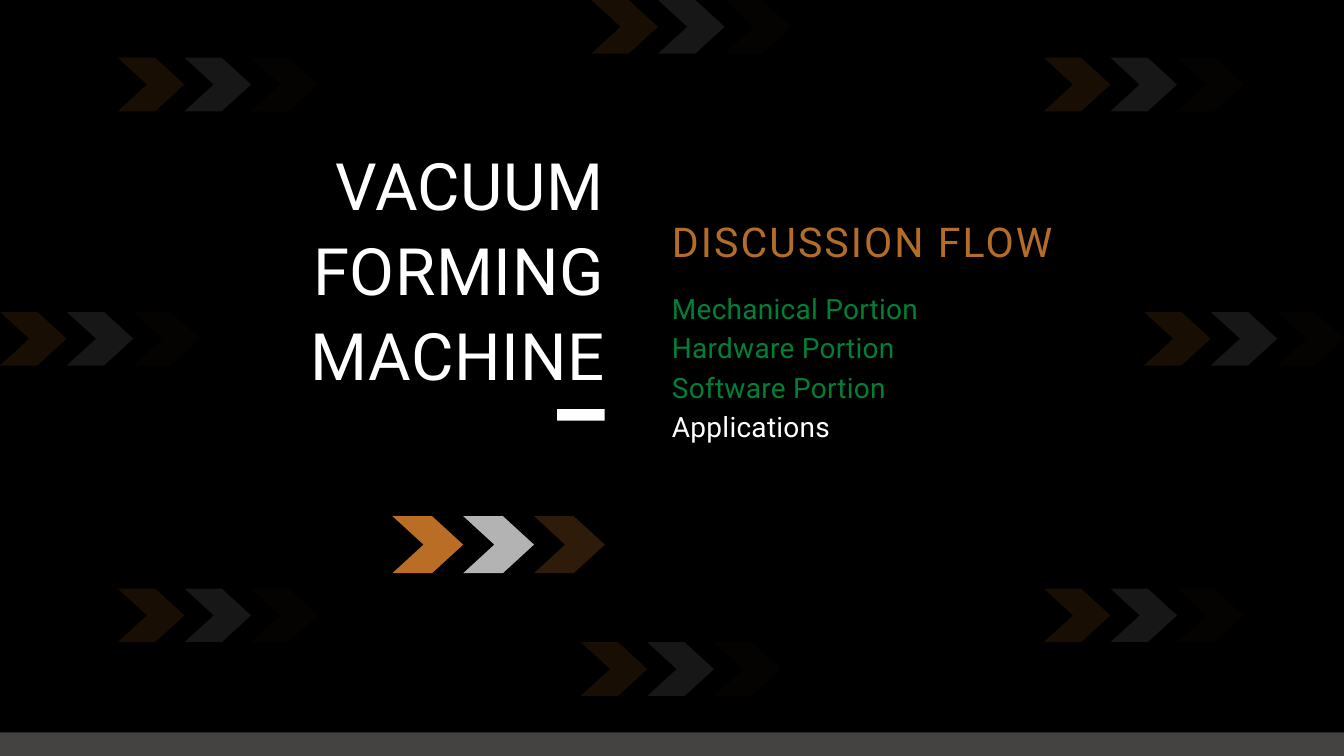
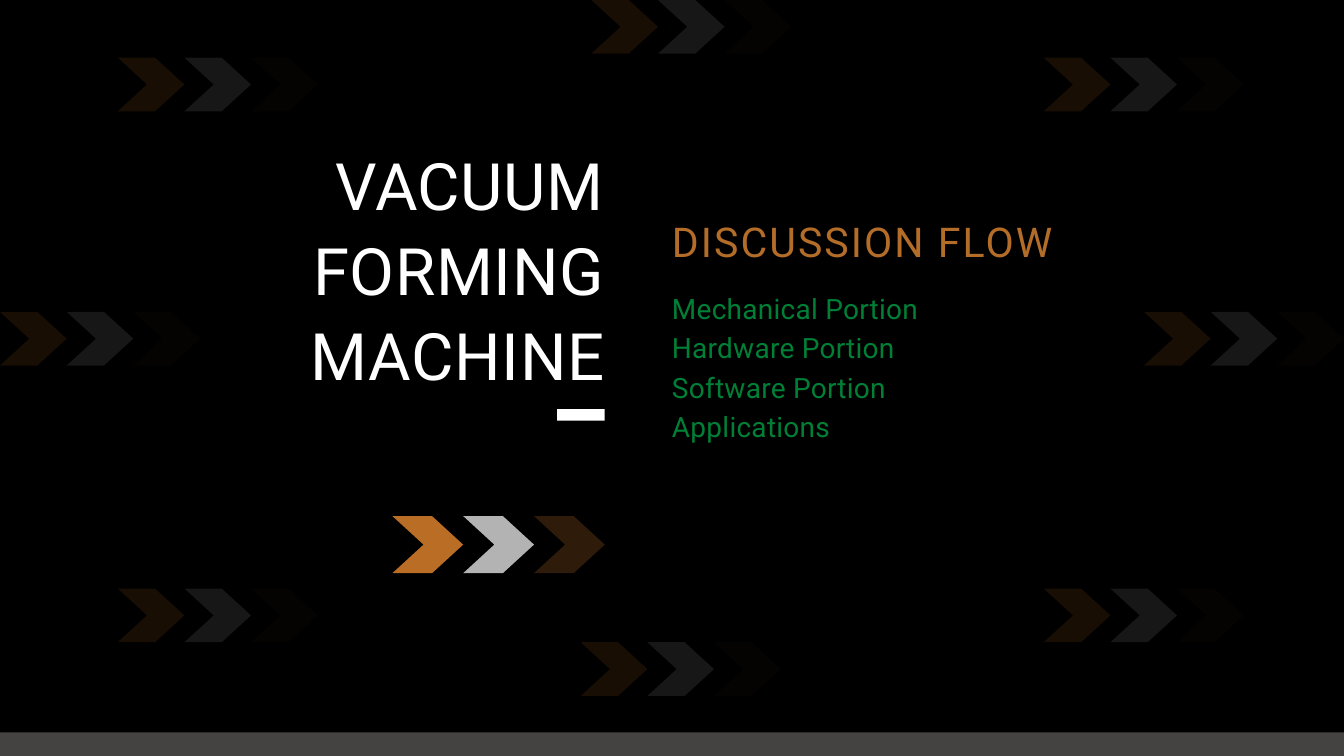
from dataclasses import dataclass

from lxml import etree
from pptx import Presentation
from pptx.dml.color import RGBColor
from pptx.enum.shapes import MSO_SHAPE
from pptx.enum.text import MSO_AUTO_SIZE, PP_ALIGN
from pptx.oxml.ns import qn
from pptx.presentation import Presentation as Deck
from pptx.shapes.autoshape import Shape
from pptx.shapes.shapetree import GroupShapes, SlideShapes
from pptx.util import Cm, Pt

RECTANGLE = MSO_SHAPE.RECTANGLE
GROW = MSO_AUTO_SIZE.SHAPE_TO_FIT_TEXT
LEFT = PP_ALIGN.LEFT
RIGHT = PP_ALIGN.RIGHT

BLACK = RGBColor(0x00, 0x00, 0x00)
WHITE = RGBColor(0xFF, 0xFF, 0xFF)
ORANGE = RGBColor(0xBA, 0x6D, 0x25)
HEADING_ORANGE = RGBColor(0xB3, 0x6D, 0x29)
GREEN = RGBColor(0x00, 0x80, 0x37)
FOOTER_GREY = RGBColor(0x44, 0x43, 0x42)

FONT = "Roboto"
FRAME_FORMAT = {
    "margin_left": 0,
    "margin_top": 0,
    "margin_right": 0,
    "margin_bottom": 0,
    "word_wrap": True,
    "auto_size": GROW,
}
CHEVRON_COLORS = (ORANGE, WHITE, ORANGE)
CHEVRON_SHOULDER = 0.56
CHEVRON_NOTCH = 0.44


@dataclass(frozen=True)
class Box:
    left: float
    top: float
    width: float
    height: float


@dataclass(frozen=True)
class TextStyle:
    size: float
    leading: float
    tracking: float
    align: PP_ALIGN = LEFT


@dataclass(frozen=True)
class Line:
    text: str
    color: RGBColor


@dataclass(frozen=True)
class ChevronTrio:
    area: Box
    opacities: tuple[int, int, int]


def faint_trio(left: float, top: float) -> ChevronTrio:
    return ChevronTrio(Box(left, top, 7.56, 2.03), (13, 9, 3))


TITLE_STYLE = TextStyle(70, 91, 0.7, RIGHT)
HEADING_STYLE = TextStyle(44, 57.2, 2.2)
TOPIC_STYLE = TextStyle(30, 42, 0.3)

TITLE_BOX = Box(6.17, 5.26, 16.69, 9.53)
TITLE_DASH = Box(21.06, 15.47, 1.8, 0.43)
HEADING_BOX = Box(25.4, 8.03, 19.51, 1.98)
TOPICS_BOX = Box(25.4, 10.82, 19.51, 7.37)
FOOTER_BAND = Box(-0.51, 27.69, 51.82, 1.42)

TITLE_TRIO = ChevronTrio(Box(14.83, 19.51, 8.03, 2.16), (100, 70, 25))
BACKDROP_TRIOS = (
    faint_trio(39.45, 2.18),
    faint_trio(22.35, 0),
    faint_trio(4.45, 2.18),
    faint_trio(4.45, 22.25),
    faint_trio(21.95, 24.28),
    faint_trio(39.45, 22.25),
    faint_trio(0, 11.79),
    faint_trio(43.24, 11.79),
)

TOPICS = ("Mechanical Portion", "Hardware Portion", "Software Portion", "Applications")
COVERED_COUNTS = (3, 4)


def paint(shape: Shape, color: RGBColor, opacity: int = 100) -> None:
    shape.shadow.inherit = False
    shape.line.fill.background()
    shape.fill.solid()
    shape.fill.fore_color.rgb = color
    if opacity < 100:
        tint = shape.element.spPr.find(qn("a:solidFill")).find(qn("a:srgbClr"))
        etree.SubElement(tint, qn("a:alpha")).set("val", str(opacity * 1000))


def add_block(shapes: SlideShapes | GroupShapes, box: Box, color: RGBColor) -> None:
    block = shapes.add_shape(
        RECTANGLE, Cm(box.left), Cm(box.top), Cm(box.width), Cm(box.height)
    )
    paint(block, color)


def add_chevrons(shapes: GroupShapes, trio: ChevronTrio) -> None:
    area = trio.area
    width = area.width / len(CHEVRON_COLORS)
    middle, bottom = area.top + area.height / 2, area.top + area.height
    for index, (color, opacity) in enumerate(zip(CHEVRON_COLORS, trio.opacities)):
        left = area.left + index * width
        shoulder = left + CHEVRON_SHOULDER * width
        notch = left + CHEVRON_NOTCH * width
        outline = (
            (left, area.top),
            (notch, middle),
            (left, bottom),
            (shoulder, bottom),
            (left + width, middle),
        )
        builder = shapes.build_freeform(Cm(shoulder), Cm(area.top))
        builder.add_line_segments([(Cm(x), Cm(y)) for x, y in outline], close=True)
        paint(builder.convert_to_shape(), color, opacity)


def add_text(
    shapes: GroupShapes, box: Box, style: TextStyle, lines: list[Line]
) -> None:
    frame = shapes.add_textbox(
        Cm(box.left), Cm(box.top), Cm(box.width), Cm(box.height)
    ).text_frame
    for name, value in FRAME_FORMAT.items():
        setattr(frame, name, value)
    paragraph_format = {"alignment": style.align, "line_spacing": Pt(style.leading)}
    font_format = {"name": FONT, "size": Pt(style.size)}
    for index, line in enumerate(lines):
        paragraph = frame.add_paragraph() if index else frame.paragraphs[0]
        run = paragraph.add_run()
        run.text = line.text
        for target, values in ((paragraph, paragraph_format), (run.font, font_format)):
            for name, value in values.items():
                setattr(target, name, value)
        run.font.color.rgb = line.color
        run._r.get_or_add_rPr().set("spc", str(round(style.tracking * 100)))


def add_title(shapes: GroupShapes) -> None:
    add_text(shapes, TITLE_BOX, TITLE_STYLE, [Line("VACUUM FORMING MACHINE", WHITE)])
    add_block(shapes, TITLE_DASH, WHITE)
    add_chevrons(shapes, TITLE_TRIO)


def add_discussion_flow(shapes: GroupShapes, covered: int) -> None:
    add_text(
        shapes, HEADING_BOX, HEADING_STYLE, [Line("DISCUSSION FLOW", HEADING_ORANGE)]
    )
    topics = [
        Line(topic, GREEN if index < covered else WHITE)
        for index, topic in enumerate(TOPICS)
    ]
    add_text(shapes, TOPICS_BOX, TOPIC_STYLE, topics)


def add_flow_slide(deck: Deck, covered: int) -> None:
    slide = deck.slides.add_slide(deck.slide_layouts[6])
    slide.background.fill.solid()
    slide.background.fill.fore_color.rgb = BLACK
    backdrop = slide.shapes.add_group_shape()
    for trio in BACKDROP_TRIOS:
        add_chevrons(backdrop.shapes, trio)
    add_block(slide.shapes, FOOTER_BAND, FOOTER_GREY)
    add_title(slide.shapes.add_group_shape().shapes)
    add_discussion_flow(slide.shapes.add_group_shape().shapes, covered)


def main() -> None:
    deck = Presentation()
    deck.slide_width, deck.slide_height = Cm(50.8), Cm(28.58)
    for covered in COVERED_COUNTS:
        add_flow_slide(deck, covered)
    deck.save("out.pptx")


if __name__ == "__main__":
    main()
